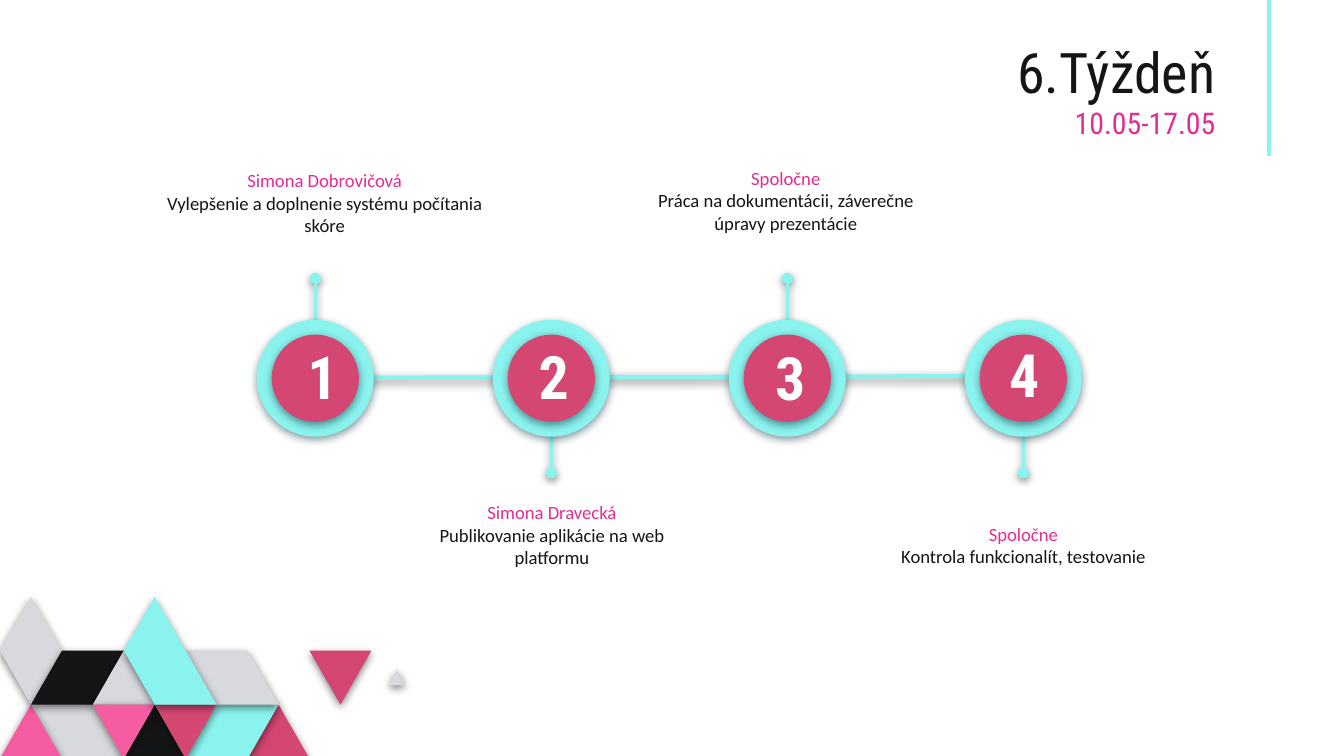
"""Build a four-step weekly timeline slide with a triangle mosaic in the corner."""
from copy import deepcopy

from lxml import etree
from pptx import Presentation
from pptx.dml.color import RGBColor
from pptx.enum.shapes import MSO_CONNECTOR as Connector, MSO_SHAPE as Shape
from pptx.enum.text import MSO_ANCHOR as Anchor, MSO_AUTO_SIZE as AutoSize, PP_ALIGN as Align
from pptx.oxml import parse_xml
from pptx.oxml.ns import nsdecls, qn
from pptx.util import Cm, Pt

rgb = RGBColor.from_string
CYAN, ROSE, PINK, GREY, INK, MAGENTA = "8BF3EE", "D54773", "F65CA2", "D8D9DC", "141516", "E32D91"


def cast_shadow(shape, colour):
    shape._element.spPr.append(parse_xml(
        f'<a:effectLst {nsdecls("a")}>'
        '<a:outerShdw blurRad="57150" dist="19050" dir="5400000" algn="bl" rotWithShape="0">'
        f'<a:srgbClr val="{colour}"><a:alpha val="50000"/></a:srgbClr>'
        '</a:outerShdw></a:effectLst>'))


def add_text(place, text, styles, align, font="Roboto Condensed", bold=False):
    box = page.shapes.add_textbox(*map(Cm, place))
    frame = box.text_frame
    frame.word_wrap = True
    frame.margin_left = frame.margin_right = Cm(0.25)
    para = frame.paragraphs[0]
    para.text = text
    para.alignment = align
    for span, (size, colour) in zip(para.runs, styles):
        span.font.name = font
        span.font.size = Pt(size)
        span.font.bold = bold
        span.font.color.rgb = rgb(colour)
    for line_break in para._p.findall(qn("a:br")):
        line_break.append(deepcopy(para.runs[0]._r.rPr))
    return frame


deck = Presentation()
deck.slide_width, deck.slide_height = Cm(25.4), Cm(14.29)
page = deck.slides.add_slide(deck.slide_layouts[6])

HALF_SIDE, ROW_HEIGHT, MOSAIC_TOP = 1.17 / 2, 1.02, 11.28
tiles = [
    (ROSE, [(10, 3), (9, 2), (8, 3)]),
    (CYAN, [(9, 2), (7, 2), (6, 3), (8, 3)]),
    (GREY, [(4, 3), (3, 2), (1, 2), (2, 3)]),
    (PINK, [(2, 3), (1, 2), (0, 3)]),
    (INK, [(6, 3), (5, 2), (4, 3)]),
    (GREY, [(9, 2), (8, 1), (6, 1), (7, 2)]),
    (GREY, [(13.1, 1.64), (12.83, 1.35), (12.55, 1.64)]),
    (ROSE, [(12, 1), (10, 1), (11, 2)]),
    (GREY, [(2, 1), (1, 0), (0, 1), (1, 2)]),
    (INK, [(4, 1), (2, 1), (1, 2), (3, 2)]),
    (GREY, [(5, 2), (4, 1), (3, 2)]),
    (PINK, [(5, 2), (3, 2), (4, 3)]),
    (ROSE, [(7, 2), (5, 2), (6, 3)]),
    (CYAN, [(7, 2), (5, 0), (4, 1), (5, 2)]),
]
for colour, corners in tiles:
    points = [(Cm(col * HALF_SIDE), Cm(MOSAIC_TOP + row * ROW_HEIGHT)) for col, row in corners]
    outline = page.shapes.build_freeform(*points[0])
    outline.add_line_segments(points[1:], close=True)
    tile = outline.convert_to_shape()
    tile.fill.solid()
    tile.fill.fore_color.rgb = rgb(colour)
    tile.line.fill.background()
    cast_shadow(tile, "000000")

rule = page.shapes.add_connector(Connector.STRAIGHT, Cm(23.98), Cm(-4.45), Cm(23.98), Cm(2.95))
rule.line.color.rgb = rgb(CYAN)
rule.line.width = Pt(2.25)
etree.SubElement(rule._element.spPr, qn("a:effectLst"))

title = add_text((0.74, 1.3, 22.48, 1.6), "6.Týždeň\v10.05-17.05",
                 [(30, INK), (16, MAGENTA)], Align.RIGHT)
title.vertical_anchor = Anchor.BOTTOM
title.margin_top = title.margin_bottom = Cm(0.25)

captions = [
    ((11.99, 2.9, 5.72, 1.9), "Spoločne", "Práca na dokumentácii, záverečne úpravy prezentácie"),
    ((7.57, 9.22, 5.72, 1.9), "Simona Dravecká", "Publikovanie aplikácie na web platformu"),
    ((16.05, 9.63, 6.58, 1.9), "Spoločne", "Kontrola funkcionalít, testovanie"),
    ((2.67, 2.95, 6.93, 1.9), "Simona Dobrovičová",
     "Vylepšenie a doplnenie systému počítania skóre"),
]
for place, person, task in captions:
    caption = add_text(place, f"{person}\v{task}", [(10, MAGENTA), (10, INK)],
                       Align.CENTER, "Calibri")
    caption.margin_top = caption.margin_bottom = Cm(0.25)
    caption.paragraphs[0].space_after = Pt(16)

FIRST_X, STEP, MIDDLE_Y = 5.96, 4.46, 7.15
centres = [FIRST_X + STEP * index for index in range(4)]

axis = page.shapes.add_connector(Connector.STRAIGHT, Cm(6.96), Cm(7.14), Cm(18.34), Cm(7.11))
axis.line.color.rgb = rgb(CYAN)
axis.line.width = Pt(2.25)
cast_shadow(axis, "000000")

for index, centre in enumerate(centres):
    start, end = (7.98, 8.94) if index % 2 else (6.32, 5.26)
    stem = page.shapes.add_connector(Connector.STRAIGHT, Cm(centre), Cm(start), Cm(centre), Cm(end))
    stem.line.color.rgb = rgb(CYAN)
    stem.line.width = Pt(1.5)
    etree.SubElement(stem.line._get_or_add_ln(), qn("a:tailEnd"), type="oval")
    cast_shadow(stem, "000000")
    for diameter, colour in ((2.21, CYAN), (1.65, ROSE)):
        disc = page.shapes.add_shape(Shape.OVAL, Cm(centre - diameter / 2),
                                     Cm(MIDDLE_Y - diameter / 2), Cm(diameter), Cm(diameter))
        disc.fill.solid()
        disc.fill.fore_color.rgb = rgb(colour)
        disc.line.fill.background()
        cast_shadow(disc, "0C2E3A")

numbers = [("1", 5.56, 6.3, 0.71), ("4", 18.82, 6.27, 0.84),
           ("3", 14.4, 6.32, 0.86), ("2", 9.93, 6.3, 0.84)]
for digit, left, top, width in numbers:
    label = add_text((left, top, width, 1.63), digit, [(32, "FFFFFF")], Align.LEFT, bold=True)
    label.auto_size = AutoSize.SHAPE_TO_FIT_TEXT

deck.save("out.pptx")
